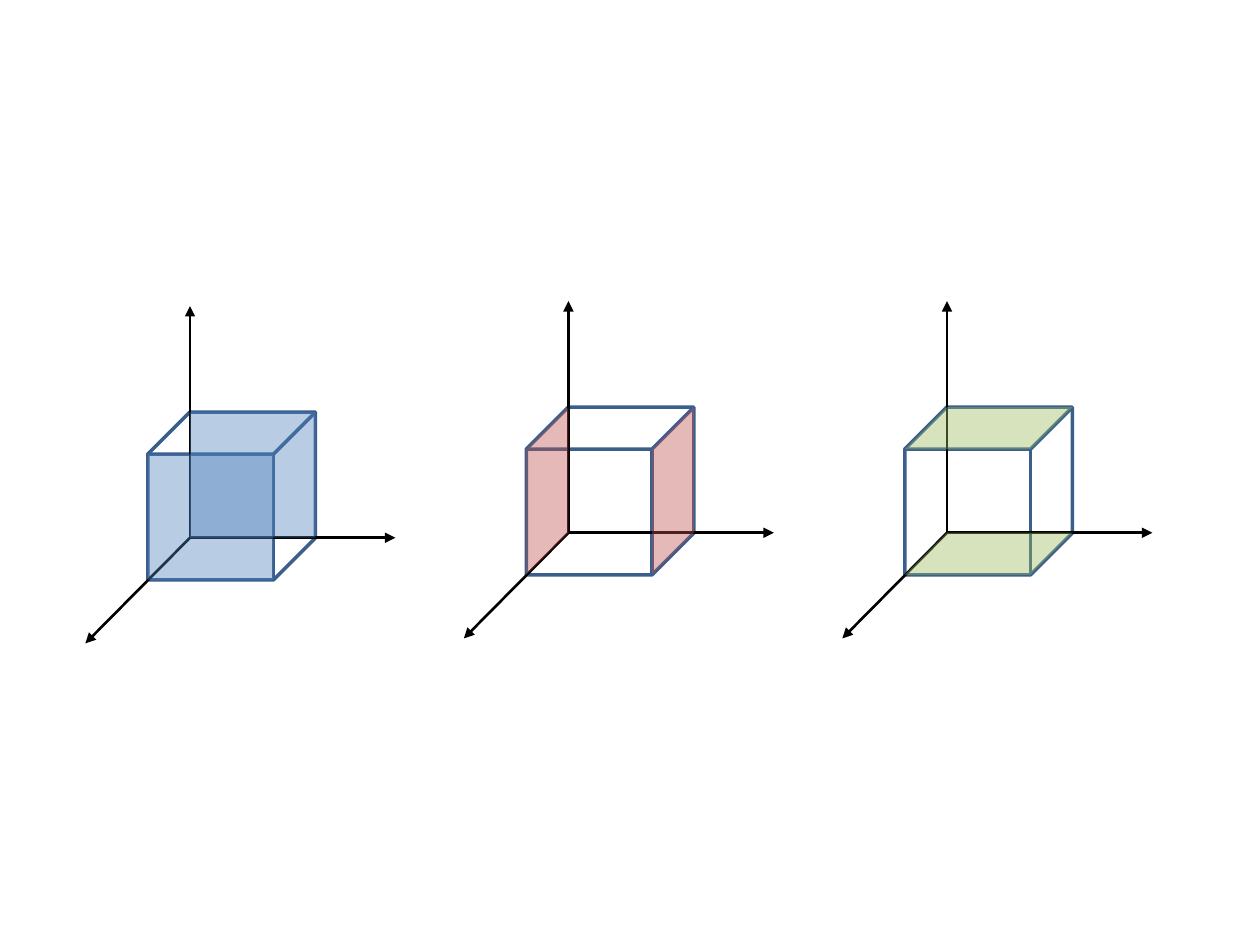
"""Three cubes on axes, each with one pair of opposite faces shaded."""
from lxml.etree import SubElement
from pptx import Presentation
from pptx.dml.color import RGBColor
from pptx.enum.shapes import MSO_CONNECTOR as Link, MSO_SHAPE as Shape
from pptx.oxml.ns import qn
from pptx.util import Cm, Pt

SIZE, DEPTH = 3.38, 0.85
FACE = SIZE - DEPTH
PITCH = 7.63
AXES = [(4.14, 0), (0, -4.67), (-2.11, 2.13)]
SIDE = [(DEPTH, 0), (0, DEPTH), (0, SIZE), (DEPTH, FACE)]
LID = [(DEPTH, 0), (0, DEPTH), (FACE, DEPTH), (SIZE, 0)]


def colour(value):
    return RGBColor.from_string(value)


class Diagram:
    """Draws cubes, axes and shaded faces on the current slide."""

    edge, axis = "3A5F8C", "000000"
    edge_width, axis_width = Pt(2), Pt(1.5)
    opacity = 40

    def __init__(self, page):
        self.page = page
        self.group = None

    def start(self):
        self.group = self.page.shapes.add_group_shape().shapes

    def cube(self, left, top):
        cube = self.group.add_shape(Shape.CUBE, Cm(left), Cm(top), Cm(SIZE), Cm(SIZE))
        cube.shadow.inherit = False
        cube.fill.background()
        cube.line.color.rgb = colour(self.edge)
        cube.line.width = self.edge_width

    def arrow(self, x, y, dx, dy):
        arrow = self.group.add_connector(Link.STRAIGHT, Cm(x), Cm(y), Cm(x + dx), Cm(y + dy))
        arrow.line.color.rgb = colour(self.axis)
        arrow.line.width = self.axis_width
        properties = arrow.element.spPr
        SubElement(properties.find(qn("a:ln")), qn("a:tailEnd"), type="triangle")
        SubElement(properties, qn("a:effectLst"))

    def shade(self, shape, fill):
        shape.shadow.inherit = False
        shape.line.fill.background()
        shape.fill.solid()
        shape.fill.fore_color.rgb = colour(fill)
        tint = shape.element.spPr.find(qn("a:solidFill"))[0]
        SubElement(tint, qn("a:alpha"), val=str(self.opacity * 1000))

    def square(self, left, top, fill):
        square = self.group.add_shape(Shape.RECTANGLE, Cm(left), Cm(top), Cm(FACE), Cm(FACE))
        self.shade(square, fill)

    def slanted(self, left, top, corners, fill):
        points = [(Cm(left + x), Cm(top + y)) for x, y in corners]
        builder = self.group.build_freeform(*points[0])
        builder.add_line_segments(points[1:], close=True)
        self.shade(builder.convert_to_shape(), fill)

    def axes_and_cube(self, left, top):
        self.start()
        self.cube(left, top)
        for dx, dy in AXES:
            self.arrow(left + DEPTH, top + FACE, dx, dy)


def main():
    deck = Presentation()
    deck.slide_width, deck.slide_height = Cm(25.4), Cm(19.05)
    diagram = Diagram(deck.slides.add_slide(deck.slide_layouts[6]))

    left, top = 2.98, 8.31
    diagram.axes_and_cube(left, top)
    for dx, dy in [(0, DEPTH), (DEPTH, 0)]:
        diagram.square(left + dx, top + dy, "4F81BD")

    top = 8.21
    for corners, shift, fill in [(SIDE, (FACE, 0), "C0504D"), (LID, (0, FACE), "9BBB59")]:
        left += PITCH
        diagram.axes_and_cube(left, top)
        for dx, dy in [(0, 0), shift]:
            diagram.slanted(left + dx, top + dy, corners, fill)

    deck.save("out.pptx")


if __name__ == "__main__":
    main()
